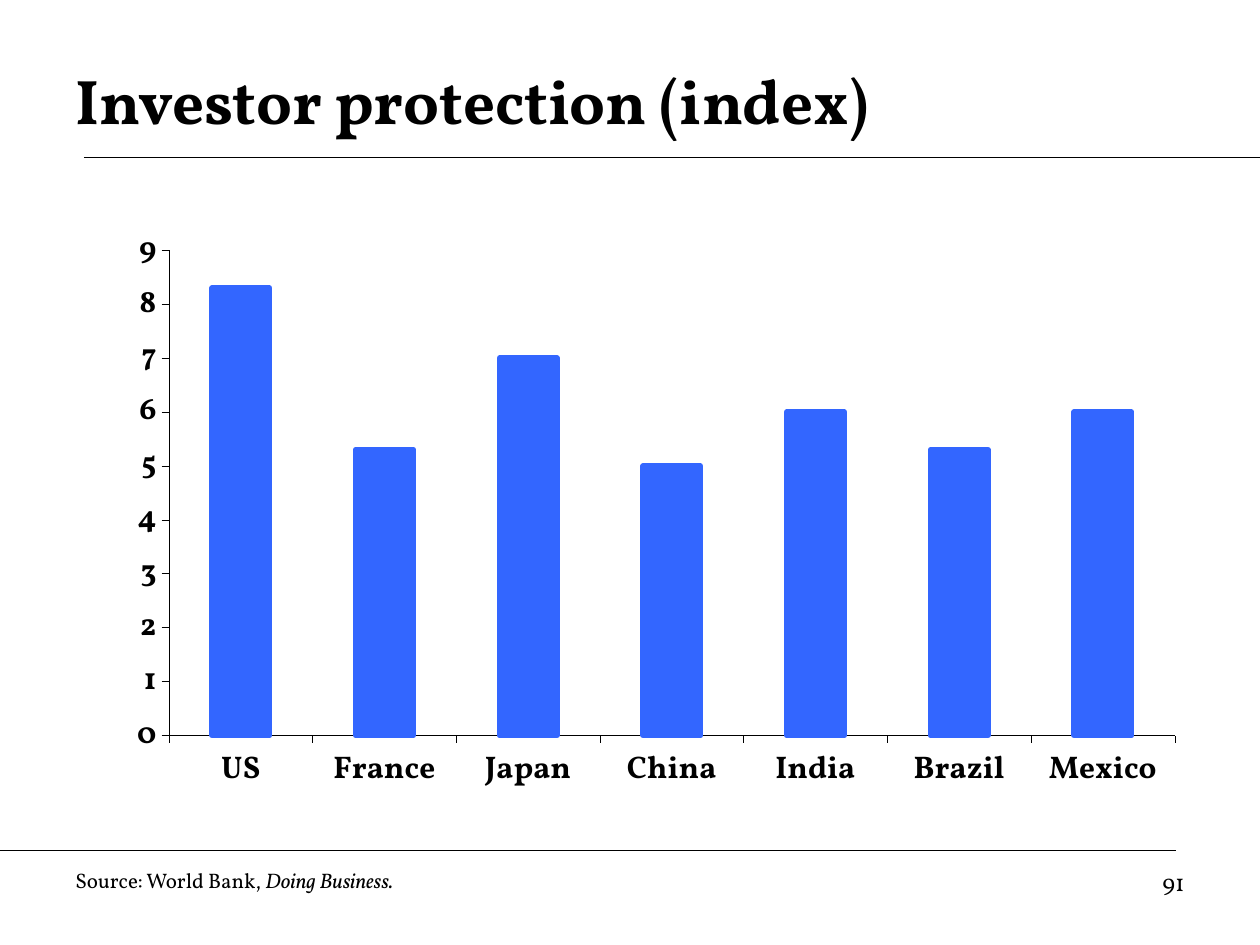
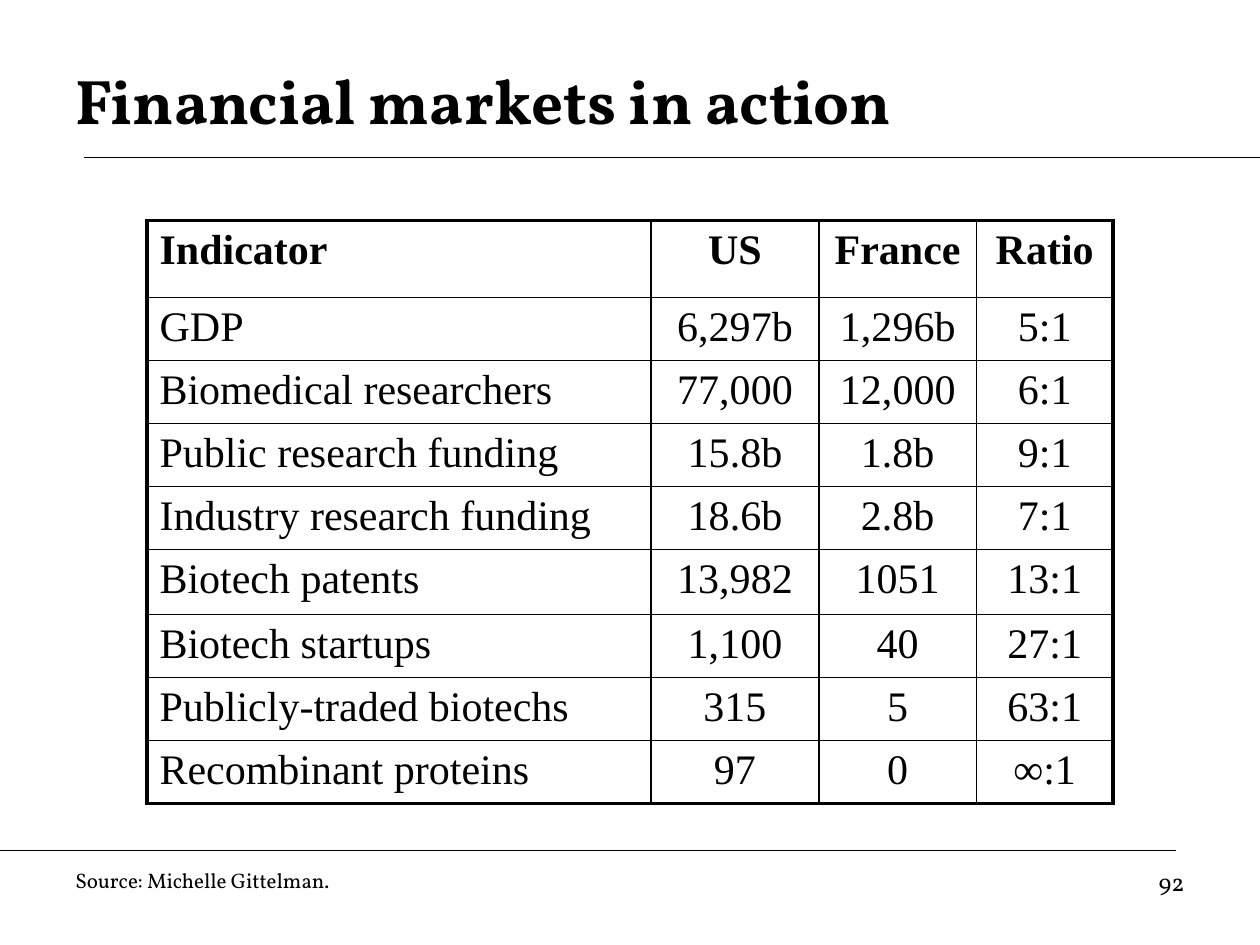
from lxml import etree
from pptx import Presentation
from pptx.chart.data import CategoryChartData
from pptx.dml.color import RGBColor
from pptx.enum.chart import XL_CHART_TYPE, XL_TICK_MARK
from pptx.enum.shapes import MSO_CONNECTOR
from pptx.enum.text import MSO_ANCHOR, PP_ALIGN
from pptx.oxml import parse_xml
from pptx.oxml.ns import nsdecls, qn
from pptx.util import Pt

BLACK = RGBColor(0x00, 0x00, 0x00)
BAR_BLUE = RGBColor(0x33, 0x66, 0xFF)
HEADING_FONT = "Vollkorn"
TABLE_FONT = "Times New Roman"
LEFT, CENTER, RIGHT = PP_ALIGN.LEFT, PP_ALIGN.CENTER, PP_ALIGN.RIGHT
TOP, MIDDLE = MSO_ANCHOR.TOP, MSO_ANCHOR.MIDDLE
COLUMNS = XL_CHART_TYPE.COLUMN_CLUSTERED
TICK_OUT, TICK_NONE = XL_TICK_MARK.OUTSIDE, XL_TICK_MARK.NONE
STRAIGHT = MSO_CONNECTOR.STRAIGHT
THICK, THIN = 2.25, 1

PROTECTION = {
    "US": 8.3, "France": 5.3, "Japan": 7, "China": 5,
    "India": 6, "Brazil": 5.3, "Mexico": 6,
}
PLOT_LAYOUT = {"x": 0.127, "y": 0.077, "w": 0.863, "h": 0.762}

INDICATORS = [
    ("Indicator", "US", "France", "Ratio"),
    ("GDP", "6,297b", "1,296b", "5:1"),
    ("Biomedical researchers", "77,000", "12,000", "6:1"),
    ("Public research funding", "15.8b", "1.8b", "9:1"),
    ("Industry research funding", "18.6b", "2.8b", "7:1"),
    ("Biotech patents", "13,982", "1051", "13:1"),
    ("Biotech startups", "1,100", "40", "27:1"),
    ("Publicly-traded biotechs", "315", "5", "63:1"),
    ("Recombinant proteins", "97", "0", "∞:1"),
]
COLUMN_WIDTHS = [288, 96, 90, 78]
ROW_HEIGHTS = [44] + [32] * 4 + [37] + [32] * 3


def style_font(font, size, name=HEADING_FONT, bold=False, italic=False):
    font.size, font.name = Pt(size), name
    font.bold, font.italic = bold, italic
    font.color.rgb = BLACK


def write(paragraph, text, align=LEFT, **style):
    paragraph.alignment = align
    run = paragraph.add_run()
    run.text = text
    style_font(run.font, **style)


def set_borders(cell, widths):
    properties = cell._tc.get_or_add_tcPr()
    for position, (side, width) in enumerate(widths.items()):
        properties.insert(position, parse_xml(
            f'<a:ln{side} {nsdecls("a")} w="{Pt(width)}"><a:solidFill>'
            f'<a:srgbClr val="{BLACK}"/></a:solidFill></a:ln{side}>'))


class Deck:
    def __init__(self):
        self.presentation = Presentation()
        self.presentation.slide_width = Pt(720)
        self.presentation.slide_height = Pt(540)
        self.slide = None

    def new_slide(self, title, number, source):
        layout = self.presentation.slide_layouts[6]
        self.slide = self.presentation.slides.add_slide(layout)
        self.rule(48, 720, 90)
        self.rule(0, 672, 486)
        self.text(36, 24, 648, 66, [(title, {"bold": True})], size=36, anchor=MIDDLE)
        self.text(516, 492, 168, 37, [(str(number), {})], size=14, align=RIGHT)
        self.text(36, 492, 462, 22, source, size=12)

    def rule(self, start, end, y):
        line = self.slide.shapes.add_connector(STRAIGHT, Pt(start), Pt(y), Pt(end), Pt(y))
        line.line.color.rgb = BLACK
        line.line.width = Pt(0.75)
        etree.SubElement(line._element.spPr, qn("a:effectLst"))

    def text(self, left, top, width, height, pieces, size, anchor=TOP, align=LEFT):
        box = self.slide.shapes.add_textbox(Pt(left), Pt(top), Pt(width), Pt(height))
        frame = box.text_frame
        frame.word_wrap = True
        frame.vertical_anchor = anchor
        for words, style in pieces:
            write(frame.paragraphs[0], words, align, size=size, **style)

    def column_chart(self, left, top, width, height, values):
        data = CategoryChartData()
        data.categories = list(values)
        data.add_series("Series 1", list(values.values()))
        chart = self.slide.shapes.add_chart(
            COLUMNS, Pt(left), Pt(top), Pt(width), Pt(height), data).chart
        chart.has_legend = chart.has_title = False
        style_font(chart.font, 17.9, name="Arial", bold=True)
        for axis in (chart.category_axis, chart.value_axis):
            axis.has_major_gridlines = False
            axis.major_tick_mark = TICK_OUT
            axis.minor_tick_mark = TICK_NONE
            axis.format.line.color.rgb = BLACK
            axis.format.line.width = Pt(0.25)
            style_font(axis.tick_labels.font, 17.9, bold=True)
        chart.value_axis.minimum_scale = 0
        chart.value_axis.maximum_scale = 9
        chart.value_axis.major_unit = 1

        plot = chart.plots[0]
        plot.gap_width = 150
        plot.vary_by_categories = False
        bars = plot.series[0].format
        bars.fill.solid()
        bars.fill.fore_color.rgb = BAR_BLUE
        bars.line.color.rgb = BAR_BLUE
        bars.line.width = Pt(3)
        self.place_plot(plot._element.getparent())

    def place_plot(self, plot_area):
        for automatic in plot_area.findall(qn("c:layout")):
            plot_area.remove(automatic)
        modes = "".join(f'<c:{axis}Mode val="edge"/>' for axis in "xy")
        sizes = "".join(f'<c:{key} val="{part}"/>' for key, part in PLOT_LAYOUT.items())
        plot_area.insert(0, parse_xml(
            f'<c:layout {nsdecls("c")}><c:manualLayout><c:layoutTarget val="inner"/>'
            f'{modes}{sizes}</c:manualLayout></c:layout>'))

    def table(self, left, top, rows, widths, heights):
        last_row, last_column = len(rows) - 1, len(widths) - 1
        table = self.slide.shapes.add_table(
            len(rows), len(widths), Pt(left), Pt(top),
            Pt(sum(widths)), Pt(sum(heights))).table
        table.first_row = table.horz_banding = False
        for column, width in zip(table.columns, widths):
            column.width = Pt(width)
        for r, (row, height) in enumerate(zip(rows, heights)):
            table.rows[r].height = Pt(height)
            for c, words in enumerate(row):
                cell = table.cell(r, c)
                cell.fill.background()
                write(cell.text_frame.paragraphs[0], words, CENTER if c else LEFT,
                      size=24, name=TABLE_FONT, bold=r == 0)
                set_borders(cell, {
                    "L": THIN if c else THICK,
                    "R": THICK if c == last_column else THIN,
                    "T": THIN if r else THICK,
                    "B": THICK if r == last_row else THIN,
                })


def main():
    deck = Deck()
    deck.new_slide("Investor protection (index)", 91, [
        ("Source: World Bank, ", {}), ("Doing Business.", {"italic": True})])
    deck.column_chart(12, 115, 666, 364, PROTECTION)
    deck.new_slide("Financial markets in action", 92, [
        ("Source: Michelle Gittelman.", {})])
    deck.table(84, 126, INDICATORS, COLUMN_WIDTHS, ROW_HEIGHTS)
    deck.presentation.save("out.pptx")


if __name__ == "__main__":
    main()
